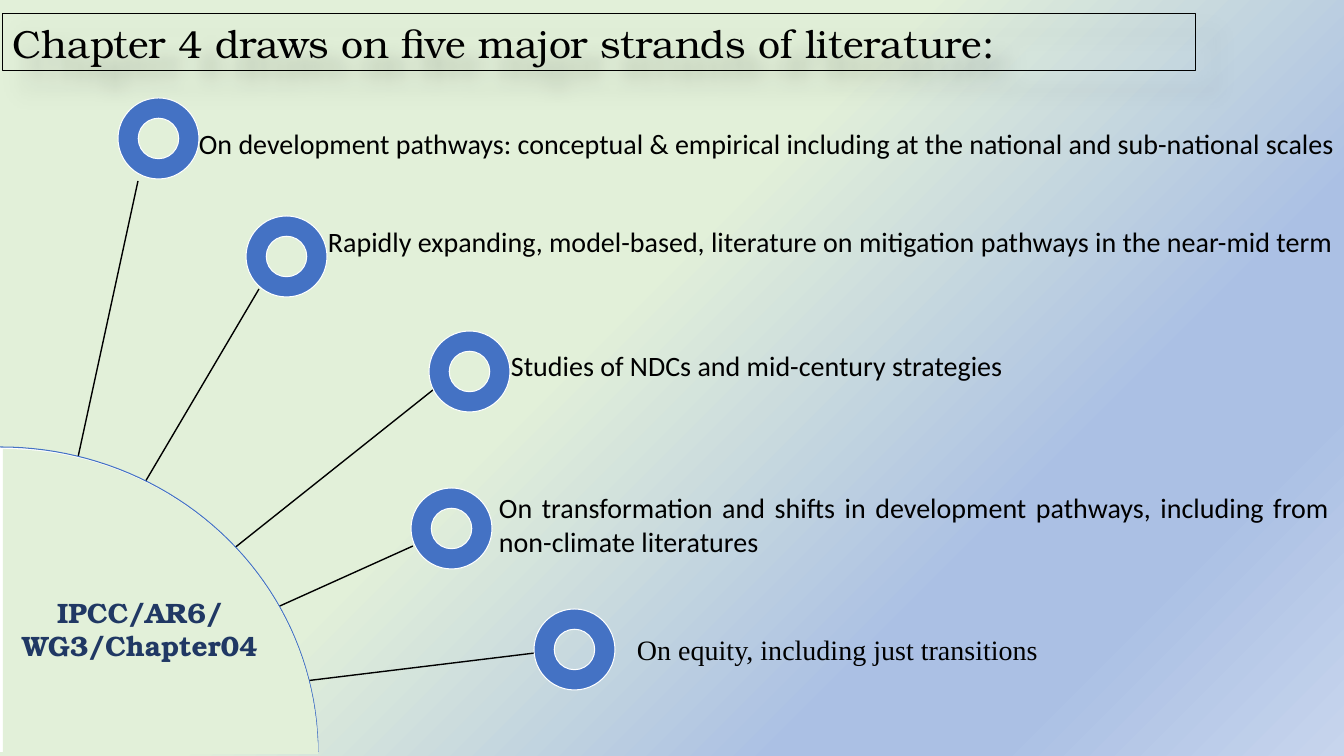
import math
from dataclasses import dataclass

import pptx
import pptx.dml.color
import pptx.enum.shapes
import pptx.enum.text
import pptx.oxml
import pptx.oxml.ns
import pptx.util

SCALE = 914400 / 100.8
SHAPE = pptx.enum.shapes.MSO_SHAPE
ANCHOR = pptx.enum.text.MSO_ANCHOR
ALIGN = pptx.enum.text.PP_ALIGN
NS = pptx.oxml.ns.nsdecls("a")


@dataclass(frozen=True)
class Theme:
    black: str = "000000"
    white: str = "FFFFFF"
    rim: str = "FEFFFF"
    blue: str = "4472C4"
    navy: str = "203864"
    green: str = "E2F0D9"
    fade: tuple = ((0, "E2F0D9"), (44, "E2F0D9"), (73, "ABC0E4"),
                   (83, "ABC0E4"), (100, "C7D5ED"))
    sans: str = "Calibri"
    serif: str = "Times New Roman"
    head: str = "TeX Gyre Bonum"
    title: int = 28
    body: int = 20
    thin: float = 0.75
    spoke: float = 1


def px(n):
    return pptx.util.Emu(round(n * SCALE))


def rgb(code):
    return pptx.dml.color.RGBColor.from_string(code)


def write(frame, text, font, size, color, bold=False, align=ALIGN.LEFT,
          anchor=ANCHOR.TOP, inset=None):
    frame.word_wrap = True
    frame.vertical_anchor = anchor
    if inset is not None:
        frame.margin_left = frame.margin_right = px(inset)
        frame.margin_top = frame.margin_bottom = px(inset)
    para = frame.paragraphs[0]
    para.alignment = align
    run = para.add_run()
    run.text = text
    run.font.name = font
    run.font.size = pptx.util.Pt(size)
    run.font.bold = bold
    run.font.color.rgb = rgb(color)


class Page:
    def __init__(self, deck, theme):
        self.theme = theme
        self.slide = deck.slides.add_slide(deck.slide_layouts[6])
        self.shapes = self.slide.shapes

    def style(self, shape, fill=None, line=None):
        shape.shadow.inherit = False
        if fill:
            shape.fill.solid()
            shape.fill.fore_color.rgb = rgb(fill)
        else:
            shape.fill.background()
        if line:
            shape.line.color.rgb = rgb(line)
            shape.line.width = pptx.util.Pt(self.theme.thin)
        else:
            shape.line.fill.background()
        return shape

    def back(self):
        fill = self.slide.background.fill
        fill.gradient()
        fill.gradient_angle = 315
        stops = fill.gradient_stops[0]._gs.getparent()
        for stop in list(stops):
            stops.remove(stop)
        for spot, code in self.theme.fade:
            stops.append(pptx.oxml.parse_xml(
                f'<a:gs {NS} pos="{spot * 1000}"><a:srgbClr val="{code}"/></a:gs>'))

    def spoke(self, start, end):
        line = self.shapes.add_connector(
            pptx.enum.shapes.MSO_CONNECTOR.STRAIGHT, *map(px, start + end))
        line.line.color.rgb = rgb(self.theme.black)
        line.line.width = pptx.util.Pt(self.theme.spoke)
        line._element.spPr.append(pptx.oxml.parse_xml(f"<a:effectLst {NS}/>"))

    def ring(self, left, top, size=81):
        ring = self.shapes.add_shape(SHAPE.DONUT, *map(px, (left, top, size, size)))
        ring.adjustments[0] = 0.25
        self.style(ring, self.theme.blue, self.theme.rim)

    def curve(self, left, base, wide, high, fill=None, line=None):
        """Quarter ellipse: a filled wedge, or the bare arc when unfilled."""
        turns = [math.radians(90 - a) for a in range(0, 91, 2)]
        spots = [(px(left + wide * math.cos(t)), px(base - high * math.sin(t)))
                 for t in turns]
        if fill:
            spots.append((px(left), px(base)))
        form = self.shapes.build_freeform(*spots[0])
        form.add_line_segments(spots[1:], close=bool(fill))
        self.style(form.convert_to_shape(), fill, line)

    def label(self, box, text, **form):
        frame = self.shapes.add_textbox(*map(px, box)).text_frame
        look = dict(font=self.theme.sans, size=self.theme.body,
                    color=self.theme.black, inset=0)
        write(frame, text, **(look | form))

    def title(self, box, text):
        t = self.theme
        shape = self.style(self.shapes.add_shape(SHAPE.RECTANGLE, *map(px, box)),
                           line=t.black)
        effects = shape._element.spPr.find(pptx.oxml.ns.qn("a:effectLst"))
        blur, gap = pptx.util.Pt(15), pptx.util.Pt(18)
        effects.append(pptx.oxml.parse_xml(
            f'<a:outerShdw {NS} blurRad="{blur}" dist="{gap}" dir="2700000" '
            f'algn="tl" rotWithShape="0"><a:srgbClr val="{t.black}">'
            '<a:alpha val="30000"/></a:srgbClr></a:outerShdw>'))
        shape.text_frame.auto_size = pptx.enum.text.MSO_AUTO_SIZE.SHAPE_TO_FIT_TEXT
        write(shape.text_frame, text, t.head, t.title, t.black)


def main():
    theme = Theme()
    deck = pptx.Presentation()
    deck.slide_width, deck.slide_height = px(1344), px(756)
    page = Page(deck, theme)
    page.back()

    # Each strand: ring corner, spoke ends, text box, text, format
    strands = [
        ((118, 98), (138, 181), (14, 752), (199, 107, 1145, 73),
         "On development pathways: conceptual & empirical including at the "
         "national and sub-national scales", {}),
        ((246, 216), (259, 289), (0, 728), (328, 205, 1016, 73),
         "Rapidly expanding, model-based, literature on mitigation pathways "
         "in the near-mid term", {}),
        ((429, 331), (438, 386), (12, 725), (511, 329, 564, 73),
         "Studies of NDCs and mid-century strategies", {}),
        ((411, 488), (413, 546), (7, 729), (499, 488, 830, 73),
         "On transformation and shifts in development pathways, including "
         "from non-climate literatures", {"align": ALIGN.JUSTIFY}),
        ((534, 609), (535, 653), (1, 718), (637, 613, 460, 73),
         "On equity, including just transitions", {"font": theme.serif}),
    ]

    # Spokes lie behind the hub
    for _, start, end, *_ in strands:
        page.spoke(start, end)

    # Hub
    page.curve(0, 752, 318, 305, fill=theme.white)
    page.curve(0, 752, 318, 305, line=theme.blue)
    page.curve(3, 754, 315, 305, fill=theme.green)

    # Rings and their texts
    for ring, _, _, box, text, form in strands:
        page.ring(*ring)
        page.label(box, text, anchor=ANCHOR.MIDDLE, **form)

    # Hub label and title
    page.label((21, 595, 238, 69), "IPCC/AR6/WG3/Chapter04", font=theme.head,
               color=theme.navy, bold=True, align=ALIGN.CENTER)
    page.title((3, 14, 1193, 57),
               "Chapter 4 draws on five major strands of literature:")

    deck.save("out.pptx")


if __name__ == "__main__":
    main()
